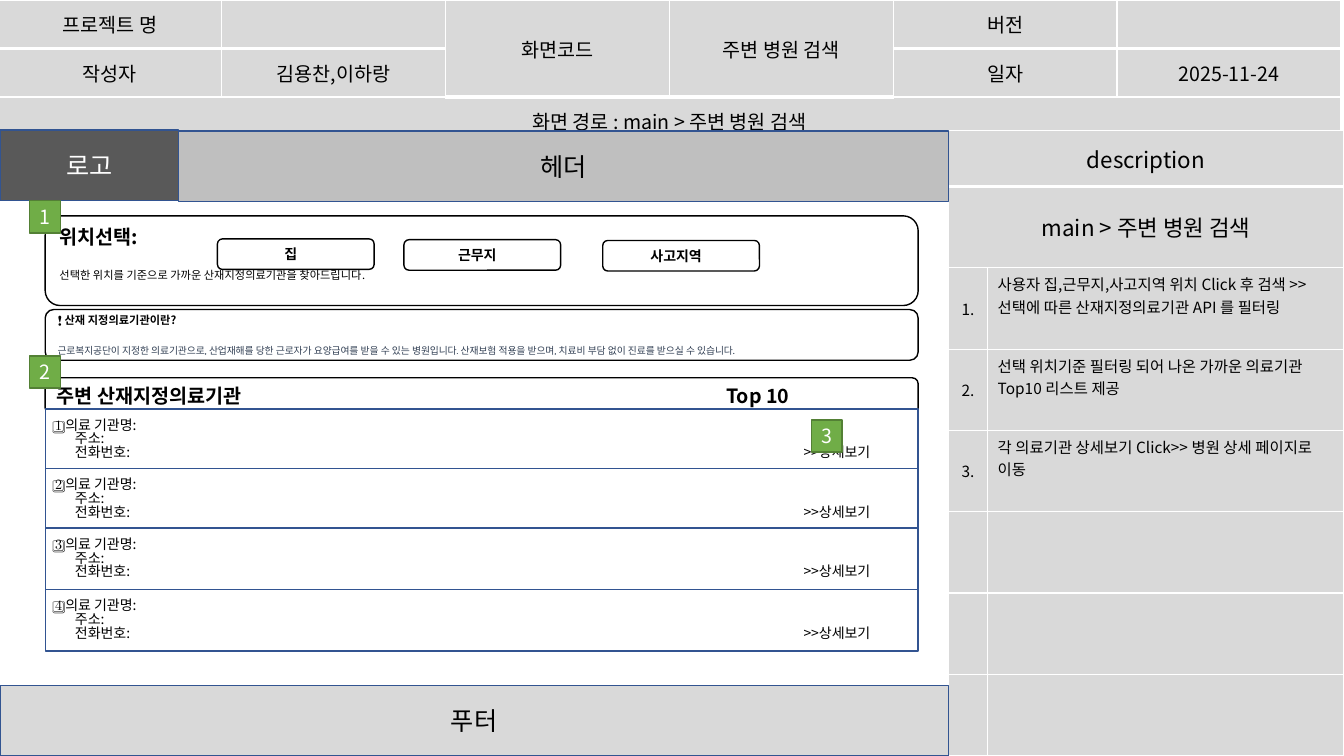
from dataclasses import dataclass

from lxml.etree import SubElement
from pptx import Presentation
from pptx.dml.color import RGBColor
from pptx.enum.shapes import MSO_SHAPE
from pptx.enum.text import MSO_ANCHOR, PP_ALIGN
from pptx.oxml.ns import qn
from pptx.util import Cm, Pt


@dataclass(frozen=True)
class Theme:
    font: str = "Noto Sans CJK KR"
    note_font: str = "Karla"
    black: str = "000000"
    white: str = "FFFFFF"
    panel: str = "D9D9D9"
    header: str = "BFBFBF"
    logo: str = "595959"
    outline: str = "325491"
    marker: str = "70AD47"
    marker_outline: str = "538035"
    note: str = "334155"
    banner_size: int = 18
    heading_size: int = 16
    title_size: int = 14
    description_size: int = 11
    body_size: int = 10
    small_size: int = 8
    note_size: int = 7


theme = Theme()


def add_run(paragraph, text, size, color=theme.black, bold=False, font=theme.font):
    """Add a run with one typeface for both Latin and Korean letters."""
    run = paragraph.add_run()
    run.text = text
    run.font.size = Pt(size)
    run.font.bold = bold
    run.font.color.rgb = RGBColor.from_string(color)
    run.font.name = font
    SubElement(run.font._element, qn("a:ea"), typeface=font)


def add_box(kind, left, top, width, height, fill, line, alignment=PP_ALIGN.CENTER):
    """Add a flat box, in centimetres; return its text frame and first paragraph."""
    shape = slide.shapes.add_shape(kind, Cm(left), Cm(top), Cm(width), Cm(height))
    shape.shadow.inherit = False
    shape.fill.solid()
    shape.fill.fore_color.rgb = RGBColor.from_string(fill)
    shape.line.color.rgb = RGBColor.from_string(line)
    shape.line.width = Pt(1)
    frame = shape.text_frame
    frame.word_wrap = True
    frame.vertical_anchor = MSO_ANCHOR.MIDDLE
    frame.paragraphs[0].alignment = alignment
    return frame, frame.paragraphs[0]


presentation = Presentation()
presentation.slide_width = Cm(33.87)
presentation.slide_height = Cm(19.05)
slide = presentation.slides.add_slide(presentation.slide_layouts[6])

# Document information across the top
info_table = slide.shapes.add_table(3, 6, Cm(-0.05), Cm(0), Cm(33.87), Cm(3.86)).table
for column in info_table.columns:
    column.width = Cm(5.64)
for row, height in zip(info_table.rows, (1.22, 1.22, 1.42)):
    row.height = Cm(height)
for column_index in (2, 3):
    info_table.cell(0, column_index).merge(info_table.cell(1, column_index))
info_table.cell(2, 0).merge(info_table.cell(2, 5))

info_texts = {
    (0, 0): "프로젝트 명", (0, 2): "화면코드", (0, 3): "주변 병원 검색", (0, 4): "버전",
    (1, 0): "작성자", (1, 1): "김용찬,이하랑", (1, 4): "일자", (1, 5): "2025-11-24",
    (2, 0): "화면 경로 : main > 주변 병원 검색",
}
for position, text in info_texts.items():
    cell = info_table.cell(*position)
    cell.margin_left = cell.margin_right = Cm(0.25)
    cell.margin_top = cell.margin_bottom = Cm(0.25)
    if cell.is_merge_origin and cell.span_height > 1:
        cell.vertical_anchor = MSO_ANCHOR.MIDDLE
    paragraph = cell.text_frame.paragraphs[0]
    paragraph.alignment = PP_ALIGN.CENTER
    add_run(paragraph, text, theme.title_size)

# Description panel on the right
description_table = slide.shapes.add_table(
    8, 2, Cm(23.9), Cm(3.28), Cm(9.96), Cm(15.77)).table
for column, width in zip(description_table.columns, (0.99, 8.97)):
    column.width = Cm(width)
for index, row in enumerate(description_table.rows):
    row.height = Cm(2.05 if index else 1.42)

for index, text in enumerate(("description", "main > 주변 병원 검색")):
    cell = description_table.cell(index, 0)
    cell.merge(description_table.cell(index, 1))
    cell.vertical_anchor = MSO_ANCHOR.MIDDLE
    paragraph = cell.text_frame.paragraphs[0]
    paragraph.alignment = PP_ALIGN.CENTER
    add_run(paragraph, text, theme.heading_size)

descriptions = (
    "사용자 집,근무지,사고지역 위치 Click 후 검색 >> 선택에 따른 산재지정의료기관 API 를 필터링",
    "선택 위치기준 필터링 되어 나온 가까운 의료기관 Top10 리스트 제공",
    "각 의료기관 상세보기 Click>> 병원 상세 페이지로 이동",
)
for number, text in enumerate(descriptions, start=1):
    number_cell = description_table.cell(number + 1, 0)
    number_cell.vertical_anchor = MSO_ANCHOR.MIDDLE
    paragraph = number_cell.text_frame.paragraphs[0]
    paragraph.alignment = PP_ALIGN.CENTER
    add_run(paragraph, f"{number}.", theme.description_size)
    text_cell = description_table.cell(number + 1, 1)
    add_run(text_cell.text_frame.paragraphs[0], text, theme.description_size)

# Grey cells with white rules, thicker below the first row
for table in (info_table, description_table):
    table.first_row = table.horz_banding = False
    for row_index, row in enumerate(table.rows):
        for cell in row.cells:
            properties = cell._tc.get_or_add_tcPr()
            for side in ("lnL", "lnR", "lnT", "lnB"):
                thick = (side, row_index) in (("lnB", 0), ("lnT", 1))
                border = SubElement(properties, qn(f"a:{side}"), w=str(Pt(3 if thick else 1)))
                border_fill = SubElement(border, qn("a:solidFill"))
                SubElement(border_fill, qn("a:srgbClr"), val=theme.white)
            cell.fill.solid()
            cell.fill.fore_color.rgb = RGBColor.from_string(theme.panel)

# Page frame
banners = (
    ("헤더", 4.5, 3.3, 19.4, theme.header, theme.black),
    ("로고", 0, 3.28, 4.5, theme.logo, theme.white),
    ("푸터", 0, 17.27, 23.9, theme.panel, theme.black),
)
for text, left, top, width, fill, color in banners:
    frame, paragraph = add_box(
        MSO_SHAPE.RECTANGLE, left, top, width, 1.78, fill, theme.outline)
    add_run(paragraph, text, theme.banner_size, color)

# Location choice
card_left, card_width = 1.14, 22
frame, paragraph = add_box(MSO_SHAPE.ROUNDED_RECTANGLE, card_left, 5.44, card_width, 2.26,
                           theme.white, theme.black, PP_ALIGN.LEFT)
frame.vertical_anchor = MSO_ANCHOR.TOP
add_run(paragraph, "위치선택:", theme.title_size, bold=True)
paragraph = frame.add_paragraph()
paragraph.alignment = PP_ALIGN.LEFT
paragraph.space_before = Pt(14)
add_run(paragraph, "선택한 위치를 기준으로 가까운 산재지정의료기관을 찾아드립니다.", theme.small_size)

for text, left, top in (("집", 5.48, 6.02), ("근무지", 10.18, 6.04), ("사고지역", 15.19, 6.06)):
    frame, paragraph = add_box(MSO_SHAPE.ROUNDED_RECTANGLE, left, top, 3.95, 0.77,
                               theme.white, theme.black)
    frame.margin_right = Cm(0.5)
    add_run(paragraph, text, theme.body_size, bold=True)

# Explanation of designated hospitals
frame, paragraph = add_box(MSO_SHAPE.ROUNDED_RECTANGLE, card_left, 7.8, card_width, 1.28,
                           theme.white, theme.black, PP_ALIGN.LEFT)
add_run(paragraph, "❗ 산재 지정의료기관이란?", theme.small_size, bold=True)
paragraph = frame.add_paragraph()
paragraph.alignment = PP_ALIGN.LEFT
paragraph.space_before = Pt(11.5)
add_run(paragraph, "근로복지공단이 지정한 의료기관으로, 산업재해를 당한 근로자가 요양급여를 받을 수 있는 병원입니다. "
        "산재보험 적용을 받으며, 치료비 부담 없이 진료를 받으실 수 있습니다",
        theme.note_size, theme.note, font=theme.note_font)
add_run(paragraph, ".", theme.small_size, theme.note, font=theme.note_font)

# Hospital list
frame, paragraph = add_box(MSO_SHAPE.ROUNDED_RECTANGLE, card_left, 9.52, card_width, 0.91,
                           theme.white, theme.black, PP_ALIGN.LEFT)
tabs = SubElement(paragraph._p.get_or_add_pPr(), qn("a:tabLst"))
SubElement(tabs, qn("a:tab"), pos=str(Cm(16.87)), algn="l")
add_run(paragraph, "주변 산재지정의료기관\tTop 10", theme.title_size, bold=True)

for keycap, top in zip(("1️⃣", "2️⃣", "3️⃣", "4️⃣"), (10.31, 11.81, 13.31, 14.86)):
    frame, paragraph = add_box(MSO_SHAPE.RECTANGLE, card_left, top, card_width, 1.55,
                               theme.white, theme.outline, PP_ALIGN.LEFT)
    lines = (f"{keycap} 의료 기관명:", "\t주소:", "\t전화번호:\t>>상세보기")
    for index, text in enumerate(lines):
        if index:
            paragraph = frame.add_paragraph()
            paragraph.alignment = PP_ALIGN.LEFT
        paragraph.line_spacing = 0.82
        tabs = SubElement(paragraph._p.get_or_add_pPr(), qn("a:tabLst"))
        for position in (0.5, 18.86):
            SubElement(tabs, qn("a:tab"), pos=str(Cm(position)), algn="l")
        add_run(paragraph, text, theme.body_size)

# Numbered markers that refer to the description panel
for number, (left, top) in enumerate(((0.75, 5.06), (0.75, 8.97), (20.45, 10.58)), start=1):
    frame, paragraph = add_box(MSO_SHAPE.RECTANGLE, left, top, 0.77, 0.81,
                               theme.marker, theme.marker_outline)
    add_run(paragraph, str(number), theme.title_size, theme.white)

presentation.save("out.pptx")
